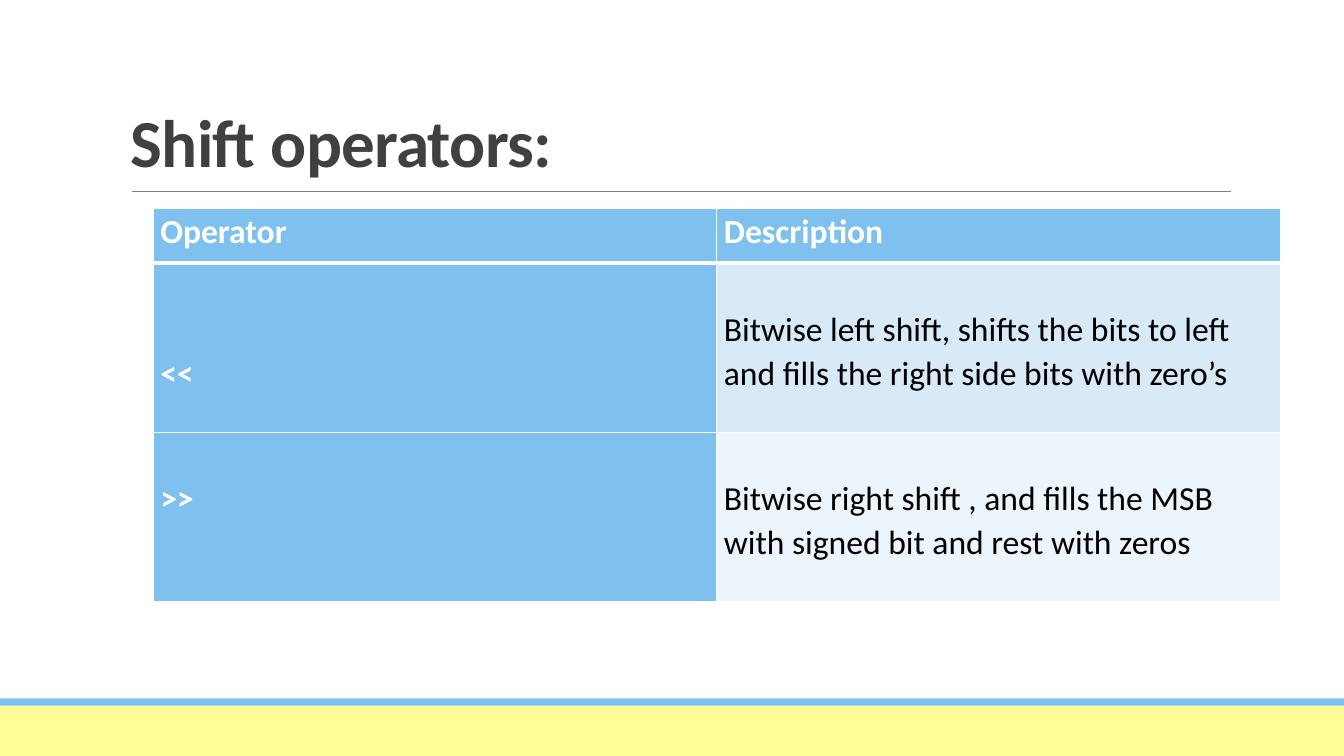
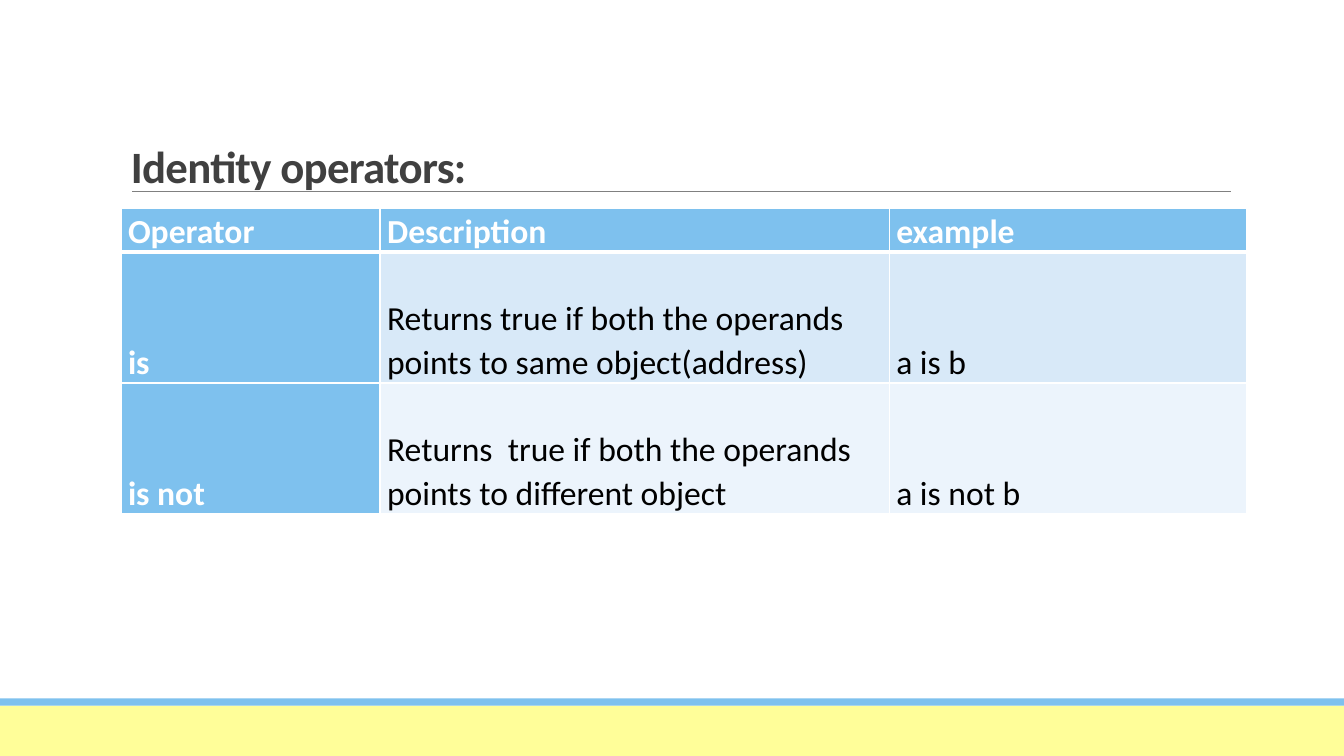
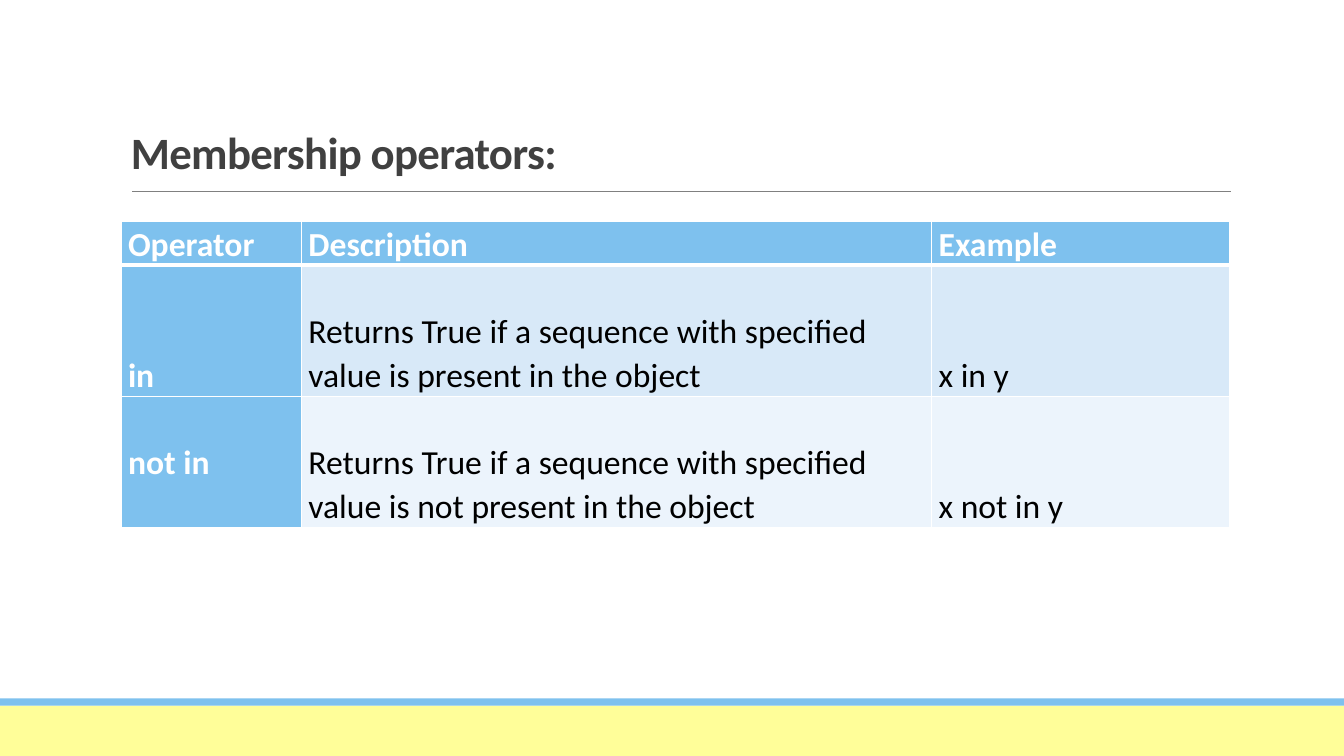
from lxml.etree import SubElement
from pptx import Presentation
from pptx.dml.color import RGBColor
from pptx.enum.shapes import MSO_CONNECTOR, MSO_SHAPE
from pptx.enum.text import MSO_ANCHOR
from pptx.oxml.ns import qn
from pptx.util import Inches, Pt

WHITE = RGBColor(0xFF, 0xFF, 0xFF)
BLACK = RGBColor(0x00, 0x00, 0x00)
BLUE = RGBColor(0x7E, 0xC1, 0xEE)
YELLOW = RGBColor(0xFF, 0xFE, 0x99)
GRAY = RGBColor(0x80, 0x80, 0x80)
TITLE_COLOR = RGBColor(0x40, 0x40, 0x40)
ROW_TINTS = (RGBColor(0xD8, 0xE9, 0xF8), RGBColor(0xEC, 0xF4, 0xFC))
FONT = "Calibri"
PAGE_WIDTH, PAGE_HEIGHT = 13.33, 7.5
LINE_HEIGHT = 0.435


def style_paragraph(para, size, color, bold, spacing):
    para.line_spacing = spacing
    para.font.name = FONT
    para.font.size = Pt(size)
    para.font.bold = bold
    para.font.color.rgb = color


def add_band(page, top, height, color):
    band = page.shapes.add_shape(
        MSO_SHAPE.RECTANGLE, 0, Inches(top), Inches(PAGE_WIDTH), Inches(height))
    band.shadow.inherit = False
    band.fill.solid()
    band.fill.fore_color.rgb = color
    band.line.fill.background()


def add_frame(page):
    add_band(page, 7, 0.5, YELLOW)
    add_band(page, 6.93, 0.07, BLUE)
    rule = page.shapes.add_connector(
        MSO_CONNECTOR.STRAIGHT, Inches(1.31), Inches(1.9), Inches(12.21), Inches(1.9))
    rule.line.color.rgb = GRAY
    rule.line.width = Pt(0.5)
    SubElement(rule._element.spPr, qn("a:effectLst"))


def add_title(page, text, size, bottom):
    height = 1
    box = page.shapes.add_textbox(
        Inches(1.2), Inches(bottom - height), Inches(11), Inches(height))
    frame = box.text_frame
    frame.word_wrap = True
    frame.vertical_anchor = MSO_ANCHOR.BOTTOM
    para = frame.paragraphs[0]
    span = para.add_run()
    span.text = text
    span._r.get_or_add_rPr().set("spc", "-50")
    style_paragraph(para, size, TITLE_COLOR, True, 0.85)


def set_borders(cell, top, bottom):
    properties = cell._tc.get_or_add_tcPr()
    widths = {"a:lnL": 1, "a:lnR": 1, "a:lnT": top, "a:lnB": bottom}
    for index, (tag, width) in enumerate(widths.items()):
        border = properties.makeelement(qn(tag), {"w": str(Pt(width))})
        fill = SubElement(border, qn("a:solidFill"))
        SubElement(fill, qn("a:srgbClr"), val=str(WHITE))
        properties.insert(index, border)


def fill_cell(cell, text, lines_above, fill, strong):
    cell.margin_left = cell.margin_right = Inches(0.07)
    cell.margin_top = Inches(lines_above * LINE_HEIGHT)
    cell.margin_bottom = 0
    cell.fill.solid()
    cell.fill.fore_color.rgb = fill
    cell.text = text
    style_paragraph(cell.text_frame.paragraphs[0], 24,
                    WHITE if strong else BLACK, strong, 1.07)


def add_operator_table(page, left, top, widths, heights, rows):
    grid = page.shapes.add_table(
        len(rows), len(widths), Inches(left), Inches(top),
        Inches(sum(widths)), Inches(sum(heights))).table
    for column, width in zip(grid.columns, widths):
        column.width = Inches(width)
    for row_index, (height, row) in enumerate(zip(heights, rows)):
        grid.rows[row_index].height = Inches(height)
        for column_index, (text, lines_above) in enumerate(row):
            cell = grid.cell(row_index, column_index)
            strong = row_index == 0 or column_index == 0
            fill = BLUE if strong else ROW_TINTS[row_index - 1]
            fill_cell(cell, text, lines_above, fill, strong)
            set_borders(cell, 3 if row_index == 1 else 1, 3 if row_index == 0 else 1)


def add_operator_page(deck, title, table):
    page = deck.slides.add_slide(deck.slide_layouts[6])
    add_frame(page)
    add_title(page, *title)
    add_operator_table(page, *table)


PAGES = [
    (("Shift operators:", 48, 1.85),
     (1.52, 2.07, (5.59, 5.59), (0.54, 1.68, 1.68), [
         [("Operator", 0), ("Description", 0)],
         [("<<", 2),
          ("Bitwise left shift, shifts the bits to left and fills the right side bits with zero’s", 1)],
         [(">>", 1),
          ("Bitwise right shift , and fills the MSB with signed bit and rest with zeros", 1)],
     ])),
    (("Identity operators:", 32, 1.96),
     (1.2, 2.07, (2.57, 5.05, 3.54), (0.43, 1.3, 1.3), [
         [("Operator", 0), ("Description", 0), ("example", 0)],
         [("is", 2),
          ("Returns true if both the operands points to same object(address)", 1),
          ("a is b", 2)],
         [("is not", 2),
          ("Returns  true if both the operands points to different object", 1),
          ("a is not b", 2)],
     ])),
    (("Membership operators:", 32, 1.82),
     (1.2, 2.2, (1.79, 6.25, 2.96), (0.43, 1.3, 1.3), [
         [("Operator", 0), ("Description", 0), ("Example", 0)],
         [("in", 2),
          ("Returns True if a sequence with specified value is present in the object", 1),
          ("x in y", 2)],
         [("not in", 1),
          ("Returns True if a sequence with specified value is not present in the object", 1),
          ("x not in y", 2)],
     ])),
]


def main():
    deck = Presentation()
    deck.slide_width = Inches(PAGE_WIDTH)
    deck.slide_height = Inches(PAGE_HEIGHT)
    for title, table in PAGES:
        add_operator_page(deck, title, table)
    deck.save("out.pptx")


if __name__ == "__main__":
    main()
